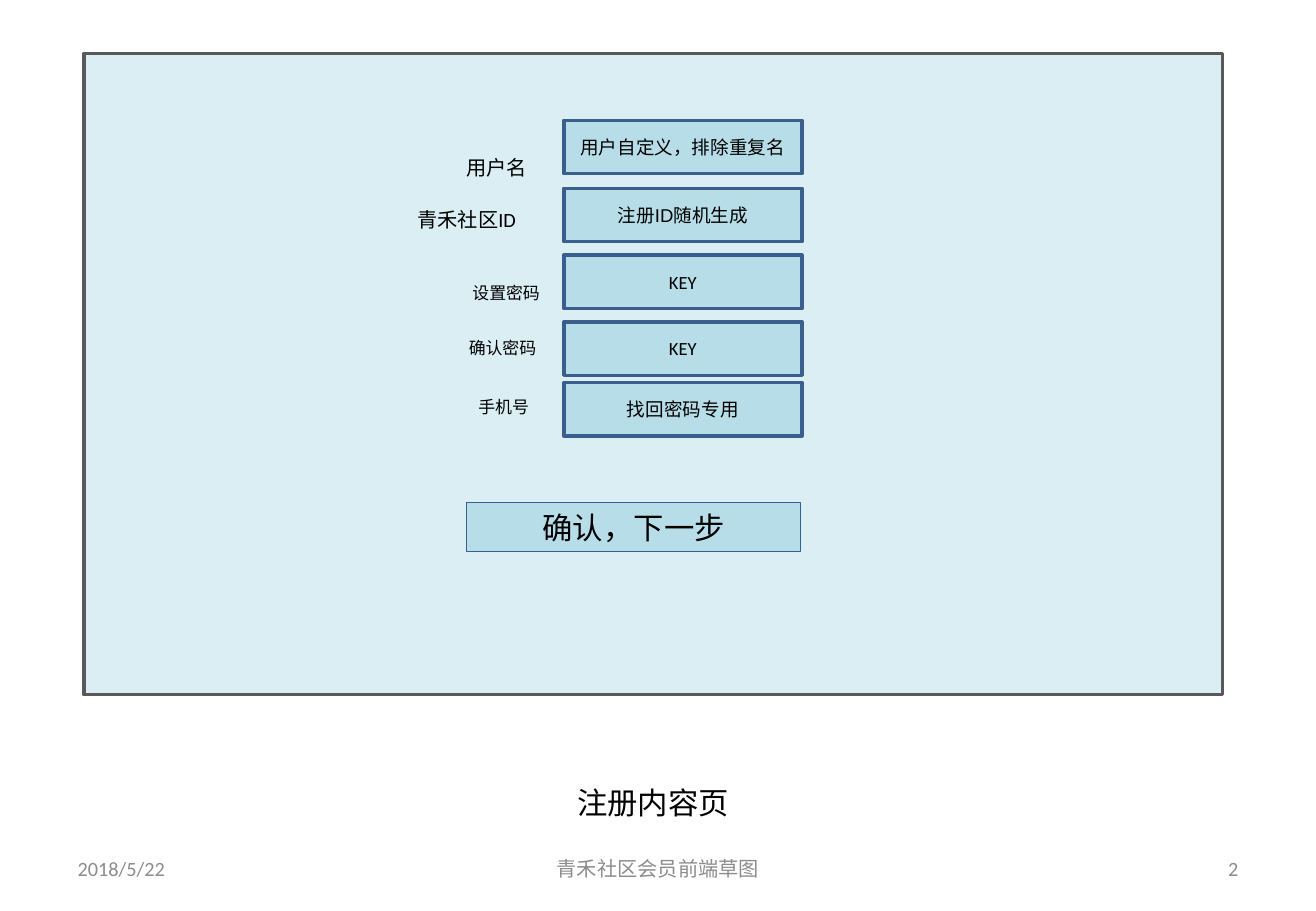
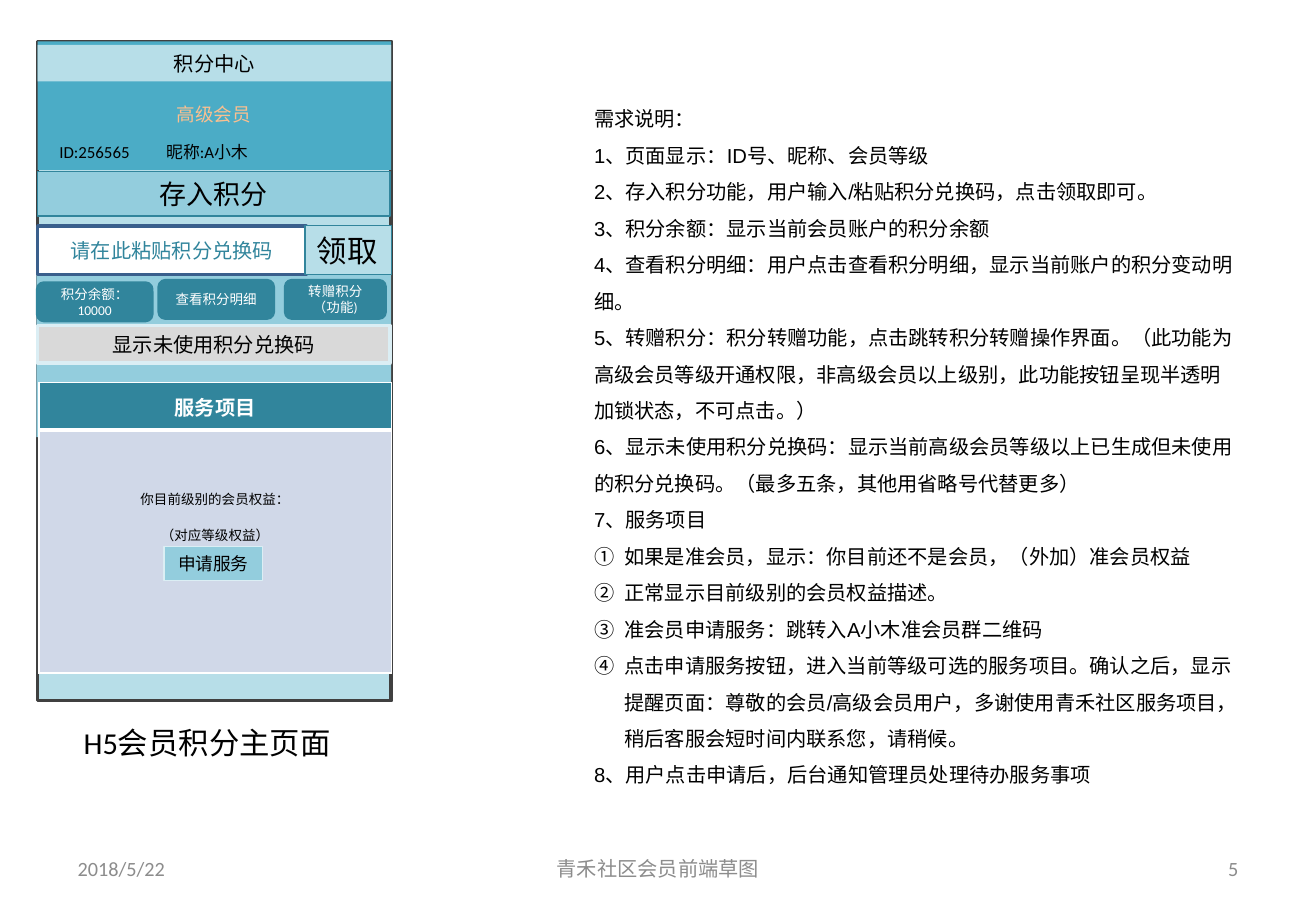
import pptx
import pptx.util
import pptx.dml.color
import pptx.enum.shapes
import pptx.enum.text
from lxml import etree

Inches, Pt = pptx.util.Inches, pptx.util.Pt
RGB = pptx.dml.color.RGBColor.from_string
SHAPE = pptx.enum.shapes.MSO_SHAPE
ANCHOR = pptx.enum.text.MSO_ANCHOR
FIT = pptx.enum.text.MSO_AUTO_SIZE
PP = pptx.enum.text.PP_ALIGN
ALIGN = {"l": PP.LEFT, "c": PP.CENTER, "r": PP.RIGHT}
C = {"black": "000000", "white": "FFFFFF", "gray": "8C8C8C", "silver": "D9D9D9",
     "mist": "DBEEF4", "pale": "B7DEE8", "sky": "93CDDD", "aqua": "4BACC6",
     "teal": "31859C", "navy": "3A5F8C", "blue": "376092", "peach": "FAC090",
     "lilac": "D0D8E8", "frame": "595959", "phone": "404040"}
A = "http://schemas.openxmlformats.org/drawingml/2006/main"
W, H = 10.83, 7.5
CLUB, NICK = "青禾社区", "A小木"

prs = pptx.Presentation()
prs.slide_width, prs.slide_height = Inches(W), Inches(H)


def write(tf, text, size, color="black", font="Calibri", align="c", bold=False):
    for i, line in enumerate(text.split("\n")):
        p = tf.paragraphs[0] if i == 0 else tf.add_paragraph()
        p.alignment = ALIGN[align]
        r = p.add_run()
        r.text = line
        for key, value in {"name": font, "size": Pt(size), "bold": bold}.items():
            setattr(r.font, key, value)
        r.font.color.rgb = RGB(C[color])


def box(s, at, text="", size=12, fill=None, line=None, weight=2, kind=SHAPE.RECTANGLE,
        middle=False, **style):
    at = [Inches(v) for v in at]
    if fill:
        sp = s.shapes.add_shape(kind, *at)
        sp.shadow.inherit = False
        sp.fill.solid()
        sp.fill.fore_color.rgb = RGB(C[fill])
        if line:
            sp.line.color.rgb = RGB(C[line])
            sp.line.width = Pt(weight)
        else:
            sp.line.fill.background()
    else:
        sp = s.shapes.add_textbox(*at)
    tf = sp.text_frame
    tf.word_wrap = True
    tf.vertical_anchor = ANCHOR.MIDDLE if middle else ANCHOR.TOP
    if text:
        tf.auto_size = FIT.NONE if middle else FIT.SHAPE_TO_FIT_TEXT
        write(tf, text, size, **style)
    return sp


blank = prs.slide_layouts[6]
signup = prs.slides.add_slide(blank)
points = prs.slides.add_slide(blank)

box(signup, (0.69, 0.44, 9.37, 5.28), fill="mist", line="frame")
fields = [
    (0.99, "用户自定义，排除重复名", "Arial", "用户名", 12, (3.71, 1.23, 0.76, 0.3)),
    (1.55, "注册ID随机生成", "Arial", CLUB + "ID", 12, (3.29, 1.66, 1.1, 0.3)),
    (2.1, "KEY", "Calibri", "设置密码", 10, (3.73, 2.28, 0.87, 0.27)),
    (2.65, "KEY", "Calibri", "确认密码", 10, (3.7, 2.73, 0.87, 0.27)),
    (3.15, "找回密码专用", "Calibri", "手机号", 10, (3.71, 3.22, 0.87, 0.27)),
]
for top, hint, font, label, size, at in fields:
    box(signup, (4.64, top, 1.96, 0.44), hint, 11, "pale", "navy", middle=True, font=font)
    box(signup, at, label, size)
box(signup, (3.84, 4.14, 2.75, 0.4), "确认，下一步", 18, "pale", "blue", 0.75)
box(signup, (4.58, 6.41, 1.59, 0.4), "注册内容页", 18)

LEFT, WIDE = 0.31, 2.91
box(points, (LEFT, 0.34, WIDE, 5.43), fill="pale", line="phone")
box(points, (0.59, 5.91, 2.57, 0.4), "H5会员积分主页面", 18, align="l")
box(points, (LEFT, 0.34, WIDE, 1.06), fill="aqua")
box(points, (LEFT, 0.37, WIDE, 0.3), "积分中心", 12, "pale")
box(points, (0.38, 0.8, 2.76, 0.29), "高级会员", 11, color="peach")

notes = [
    "需求说明：",
    "1、页面显示：ID号、昵称、会员等级",
    "2、存入积分功能，用户输入/粘贴积分兑换码，点击领取即可。",
    "3、积分余额：显示当前会员账户的积分余额",
    "4、查看积分明细：用户点击查看积分明细，显示当前账户的积分变动明细。",
    "5、转赠积分：积分转赠功能，点击跳转积分转赠操作界面。（此功能为高级会员等级开通权限，"
    "非高级会员以上级别，此功能按钮呈现半透明加锁状态，不可点击。）",
    "6、显示未使用积分兑换码：显示当前高级会员等级以上已生成但未使用的积分兑换码。"
    "（最多五条，其他用省略号代替更多）",
    "7、服务项目",
    "如果是准会员，显示：你目前还不是会员，（外加）准会员权益",
    "正常显示目前级别的会员权益描述。",
    f"准会员申请服务：跳转入{NICK}准会员群二维码",
    "点击申请服务按钮，进入当前等级可选的服务项目。确认之后，显示提醒页面："
    f"尊敬的会员/高级会员用户，多谢使用{CLUB}服务项目，稍后客服会短时间内联系您，请稍候。",
    "8、用户点击申请后，后台通知管理员处理待办服务事项",
]
sp = box(points, (4.79, 0.73, 5.51, 6.46), "\n".join(notes), 12, font="Arial", align="l")
for p in sp.text_frame.paragraphs:
    p.line_spacing = 1.5
for p in sp.text_frame.paragraphs[8:12]:
    pPr = p._p.get_or_add_pPr()
    pPr.set("marL", str(Inches(0.25)))
    pPr.set("indent", str(-Inches(0.25)))
    etree.SubElement(pPr, f"{{{A}}}buAutoNum", type="circleNumDbPlain")

box(points, (0.3, 2.26, 2.92, 1.34), fill="sky")
table = points.shapes.add_table(2, 1, *[Inches(v) for v in (0.32, 3.15, 2.9, 2.39)]).table
table.horz_banding = False
services = [
    (0.39, "teal", "服务项目", {"size": 12, "color": "white", "font": "Arial", "bold": True}, 0.04),
    (2, "lilac", "你目前级别的会员权益：\n（对应等级权益）", {"size": 8}, 0.61),
]
for i, (height, fill, text, style, bottom) in enumerate(services):
    table.rows[i].height = Inches(height)
    cell = table.cell(i, 0)
    cell.vertical_anchor = ANCHOR.MIDDLE
    for side, inset in {"left": 0.07, "right": 0.07, "top": 0.04, "bottom": bottom}.items():
        setattr(cell, "margin_" + side, Inches(inset))
    write(cell.text_frame, text, **style)
    for p in cell.text_frame.paragraphs[1:]:
        p.space_before = Pt(9.5)
    tcPr = cell._tc.get_or_add_tcPr()
    for tag, top_row, low_row in (("lnL", 1, 1), ("lnR", 1, 1), ("lnT", 1, 3), ("lnB", 3, 1)):
        ln = etree.SubElement(tcPr, f"{{{A}}}{tag}", w=str(Pt((top_row, low_row)[i])))
        paint = etree.SubElement(ln, f"{{{A}}}solidFill")
        etree.SubElement(paint, f"{{{A}}}srgbClr", val=C["white"])
    cell.fill.solid()
    cell.fill.fore_color.rgb = RGB(C[fill])

box(points, (0.39, 1.12, 0.85, 0.27), "ID:256565", 10, align="l")
box(points, (1.27, 1.12, 1.13, 0.27), "昵称:" + NICK, 10, align="l")
box(points, (LEFT, 1.41, 2.9, 0.37), "存入积分", 16, "sky", "teal", 0.75, font="Noto Sans CJK SC")
box(points, (LEFT, 1.86, 2.21, 0.4), "请在此粘贴积分兑换码", 12, "white", "navy", middle=True, color="teal")
box(points, (2.51, 1.86, 0.71, 0.4), "领取", 18, "pale", "teal", 0.75, align="l")
box(points, (1.35, 4.5, 0.81, 0.28), "申请服务", 10.5, "sky", "mist", 0.75)
buttons = [(0.31, 2.33, 0.94, "积分余额：10000"), (1.31, 2.31, 0.94, "查看积分明细"),
           (2.35, 2.31, 0.82, "转赠积分\n（功能)")]
for left, top, width, text in buttons:
    box(points, (left, top, width, 0.31), text, 8, "teal", "teal",
        kind=SHAPE.ROUNDED_RECTANGLE, middle=True, color="white")
box(points, (LEFT, 2.68, 2.9, 0.31), "显示未使用积分兑换码", 12, "silver", "mist", middle=True)

for s, number in ((signup, "2"), (points, "5")):
    for left, width, text, align in ((0.54, 2.53, "2018/5/22", "l"), (7.76, 2.53, number, "r"),
                                     (3.7, 3.43, CLUB + "会员前端草图", "c")):
        box(s, (left, 6.95, width, 0.4), text, 12, middle=True, color="gray", align=align)

prs.save("out.pptx")
